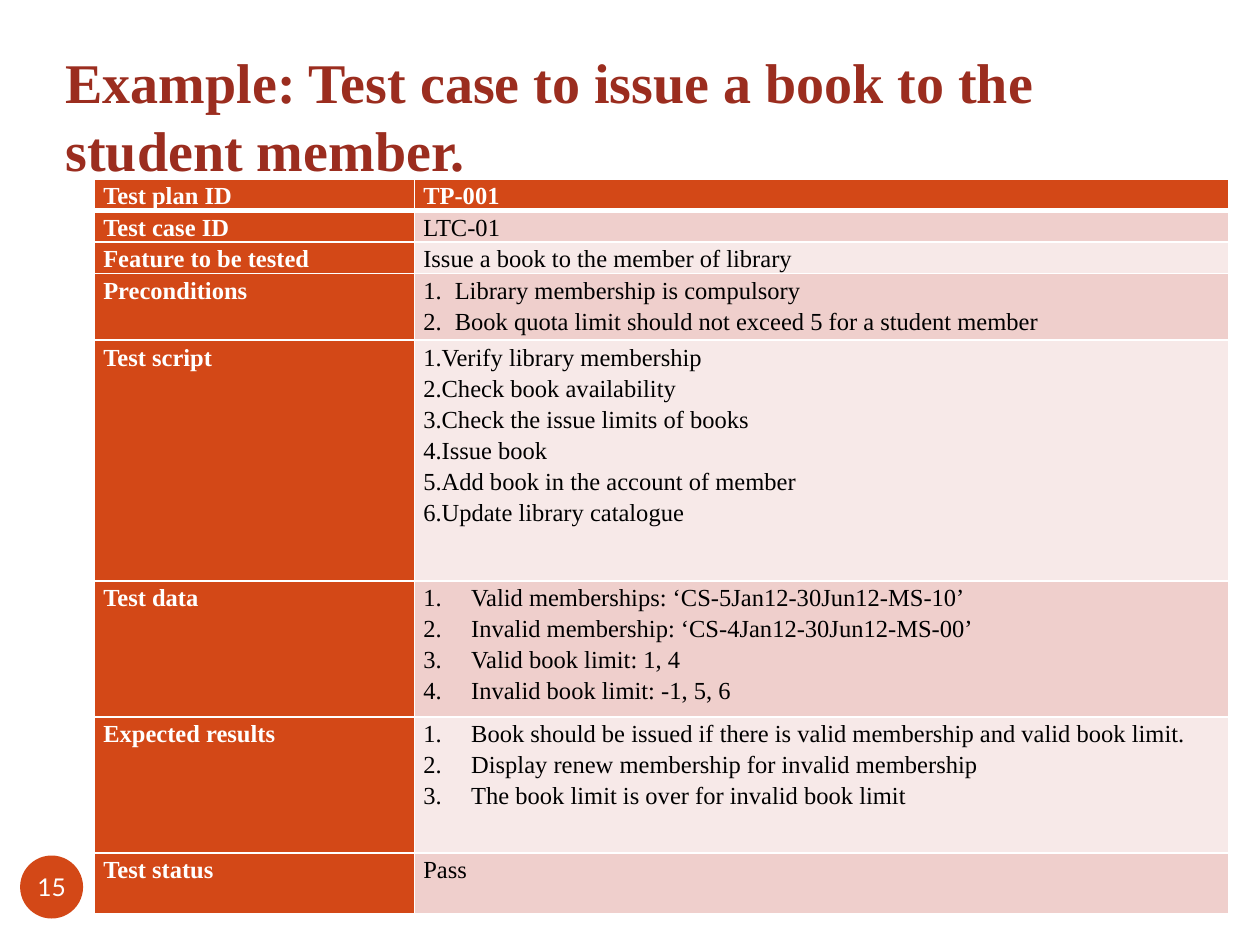
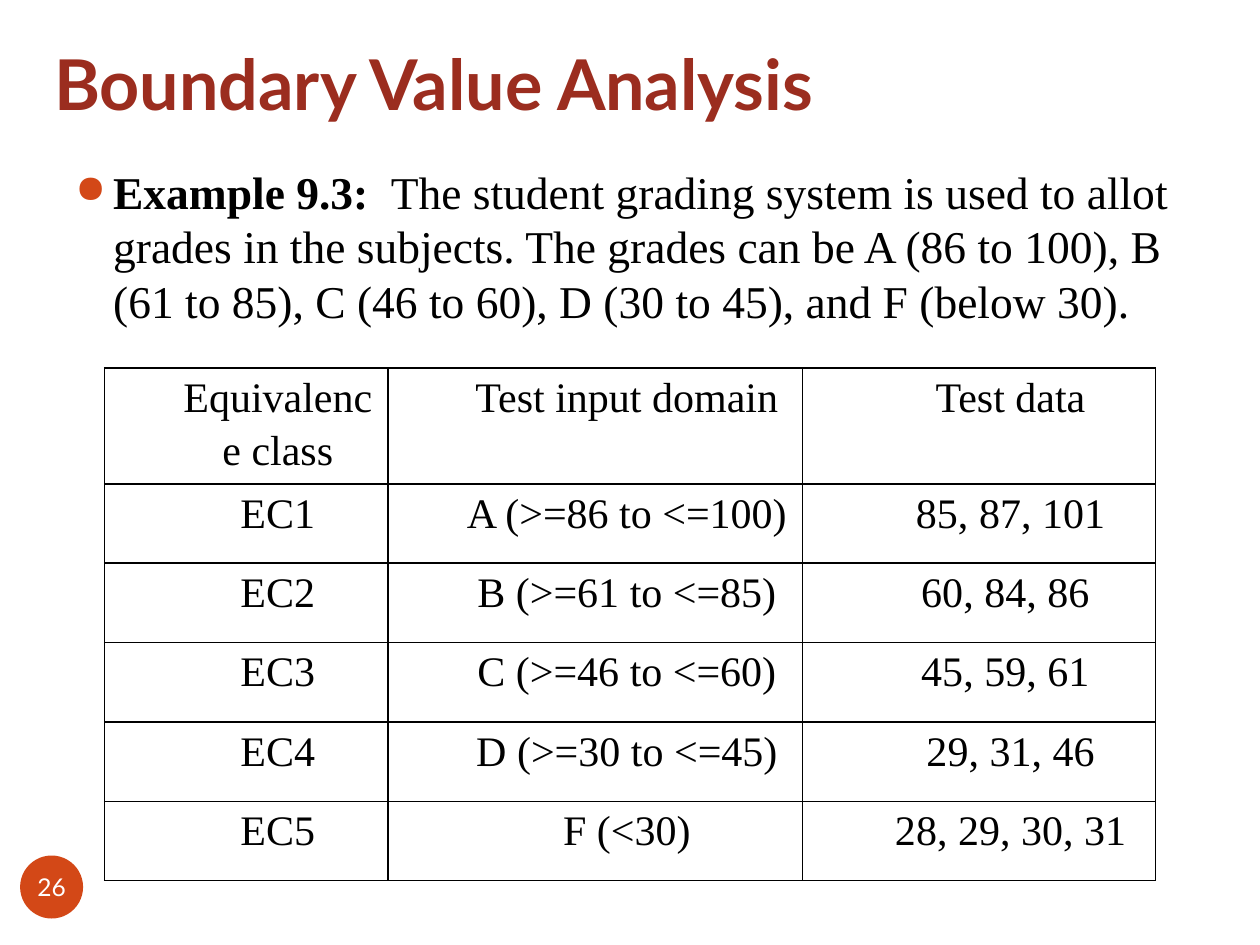
from lxml import etree
from pptx import Presentation
from pptx import util as u
from pptx.dml.color import RGBColor
from pptx.enum import shapes, text
from pptx.oxml import ns

SERIF, SANS = "Times New Roman", "Lato"
ACCENT, TITLE, WHITE, BLACK = "D34817", "9B2D1F", "FFFFFF", "000000"
BANDS = ("EFCFCC", "F7E9E8")
LEFT, CENTER = text.PP_ALIGN.LEFT, text.PP_ALIGN.CENTER

TEST_CASE = [
    ("Test plan ID", ["TP-001"], None),
    ("Test case ID", ["LTC-01"], None),
    ("Feature to be tested", ["Issue a book to the member of library"], None),
    ("Preconditions", ["Library membership is compulsory",
                       "Book quota limit should not exceed 5 for a student member"],
     (0.25, -0.25)),
    ("Test script", ["Verify library membership", "Check book availability",
                     "Check the issue limits of books", "Issue book",
                     "Add book in the account of member",
                     "Update library catalogue"], (0, -0.31)),
    ("Test data", ["Valid memberships: ‘CS-5Jan12-30Jun12-MS-10’",
                   "Invalid membership: ‘CS-4Jan12-30Jun12-MS-00’",
                   "Valid book limit: 1, 4", "Invalid book limit: -1, 5, 6"],
     (0.38, -0.38)),
    ("Expected results",
     ["Book should be issued if there is valid membership and valid book limit.",
      "Display renew membership for invalid membership",
      "The book limit is over for invalid book limit"], (0.38, -0.38)),
    ("Test status", ["Pass"], None),
]
TEST_CASE_HEIGHTS = [0.25, 0.25, 0.25, 0.53, 1.91, 1.08, 1.08, 0.48]

GRADES = [
    ("Equivalence class", "Test input domain", "Test data"),
    ("EC1", "A (>=86 to <=100)", "85, 87, 101"),
    ("EC2", "B (>=61 to <=85)", "60, 84, 86 "),
    ("EC3", "C (>=46 to <=60)", "45, 59, 61 "),
    ("EC4", "D (>=30 to <=45)", "29, 31, 46"),
    ("EC5", "F (<30)", "28, 29, 30, 31"),
]


def color(value):
    return RGBColor.from_string(value)


def child(parent, tag, **attributes):
    return etree.SubElement(parent, ns.qn(tag), attributes)


def add_span(para, words, size=14, font=SERIF, ink=BLACK, bold=False):
    span = para.add_run()
    span.text = words
    span.font.size = u.Pt(size)
    span.font.name = font
    span.font.bold = bold
    span.font.color.rgb = color(ink)


def set_indent(para, margin, first):
    props = para._p.get_or_add_pPr()
    props.set("marL", str(u.Inches(margin)))
    props.set("indent", str(u.Inches(first)))
    return props


def set_insets(holder, left, top, right, bottom):
    holder.margin_left, holder.margin_top = u.Inches(left), u.Inches(top)
    holder.margin_right, holder.margin_bottom = u.Inches(right), u.Inches(bottom)


class SlideBuilder:
    def __init__(self):
        self.deck = Presentation()
        self.deck.slide_width, self.deck.slide_height = u.Inches(10), u.Inches(7.5)
        self.page = None

    def add_page(self):
        self.page = self.deck.slides.add_slide(self.deck.slide_layouts[5])

    def title(self, words, place, anchor, bottom=0.05, before=0, **style):
        box = self.page.shapes.title
        box.left, box.top, box.width, box.height = map(u.Inches, place)
        frame = box.text_frame
        frame.word_wrap, frame.auto_size = True, text.MSO_AUTO_SIZE.NONE
        frame.vertical_anchor = anchor
        set_insets(frame, 0.1, 0.05, 0.1, bottom)
        para = frame.paragraphs[0]
        para.alignment, para.space_before = LEFT, u.Pt(before)
        add_span(para, words, ink=TITLE, bold=True, **style)

    def page_number(self, number):
        badge = self.page.shapes.add_shape(
            shapes.MSO_SHAPE.OVAL, u.Inches(0.16), u.Inches(6.79),
            u.Inches(0.5), u.Inches(0.5))
        badge.shadow.inherit = False
        badge.fill.solid()
        badge.fill.fore_color.rgb = color(ACCENT)
        badge.line.fill.background()
        frame = badge.text_frame
        frame.word_wrap, frame.vertical_anchor = False, text.MSO_ANCHOR.MIDDLE
        set_insets(frame, 0, 0, 0, 0)
        para = frame.paragraphs[0]
        para.alignment = CENTER
        add_span(para, str(number), font=SANS, ink=WHITE)

    def bullet(self, lead, words, place):
        frame = self.page.shapes.add_textbox(*map(u.Inches, place)).text_frame
        frame.word_wrap = True
        para = frame.paragraphs[0]
        para.space_before = u.Pt(5.8)
        props = set_indent(para, 0.3, -0.3)
        child(child(props, "a:buClr"), "a:srgbClr", val=ACCENT)
        child(props, "a:buSzPct", val="85000")
        child(props, "a:buChar", char="●")
        add_span(para, lead, size=26, bold=True)
        add_span(para, words, size=26)

    def table(self, left, top, widths, heights):
        table = self.page.shapes.add_table(
            len(heights), len(widths), u.Inches(left), u.Inches(top),
            u.Inches(sum(widths)), u.Inches(sum(heights))).table
        table.first_row = table.horz_banding = False
        for column, width in zip(table.columns, widths):
            column.width = u.Inches(width)
        for row, height in zip(table.rows, heights):
            row.height = u.Inches(height)
        return table

    def cell(self, cell, lines, fill=None, border=BLACK, top=1, bottom=1,
             numbered=None, indent=0, align=LEFT, **style):
        set_insets(cell, 0.07, 0, 0.07, 0)
        frame = cell.text_frame
        for index, line in enumerate(lines):
            para = frame.add_paragraph() if index else frame.paragraphs[0]
            para.alignment, para.line_spacing = align, 1.15
            if numbered:
                child(set_indent(para, *numbered), "a:buAutoNum", type="arabicPeriod")
            elif indent:
                set_indent(para, indent, 0)
            add_span(para, line, **style)
        props = cell._tc.get_or_add_tcPr()
        for side, width in zip("LRTB", (1, 1, top, bottom)):
            edge = child(props, f"a:ln{side}", w=str(u.Pt(width)))
            child(child(edge, "a:solidFill"), "a:srgbClr", val=border)
        if fill:
            cell.fill.solid()
            cell.fill.fore_color.rgb = color(fill)
        else:
            cell.fill.background()


def build_test_case(builder):
    builder.add_page()
    builder.title("Example: Test case to issue a book to the student member.",
                  (0.42, 0.33, 9.33, 0.58), text.MSO_ANCHOR.TOP,
                  before=5.8, size=32)
    table = builder.table(0.75, 1.42, [2.54, 6.46], TEST_CASE_HEIGHTS)
    for index, (label, lines, numbered) in enumerate(TEST_CASE):
        header = index == 0
        edges = dict(border=WHITE, top=3 if index == 1 else 1, bottom=3 if header else 1)
        strong = dict(fill=ACCENT, ink=WHITE, bold=True)
        plain = dict(fill=BANDS[(index - 1) % 2])
        builder.cell(table.cell(index, 0), [label], **edges, **strong)
        builder.cell(table.cell(index, 1), lines, numbered=numbered,
                     **edges, **(strong if header else plain))
    builder.page_number(15)


def build_boundary_values(builder):
    builder.add_page()
    builder.title("Boundary Value Analysis", (0.33, 0.17, 8.5, 0.92),
                  text.MSO_ANCHOR.BOTTOM, bottom=0.1, size=40, font=SANS)
    builder.page_number(26)
    builder.bullet("Example 9.3: ",
                   " The student grading system is used to allot grades in the "
                   "subjects. The grades can be A (86 to 100), B (61 to 85), "
                   "C (46 to 60), D (30 to 45), and F (below 30).",
                   (0.5, 1.25, 9, 1.5))
    table = builder.table(0.83, 2.92, [2.25, 3.29, 2.8], [0.63] * len(GRADES))
    for index, row in enumerate(GRADES):
        for column, words in enumerate(row):
            builder.cell(table.cell(index, column), [words],
                         indent=0.5, align=CENTER, size=24)


def main():
    builder = SlideBuilder()
    build_test_case(builder)
    build_boundary_values(builder)
    builder.deck.save("out.pptx")


if __name__ == "__main__":
    main()
